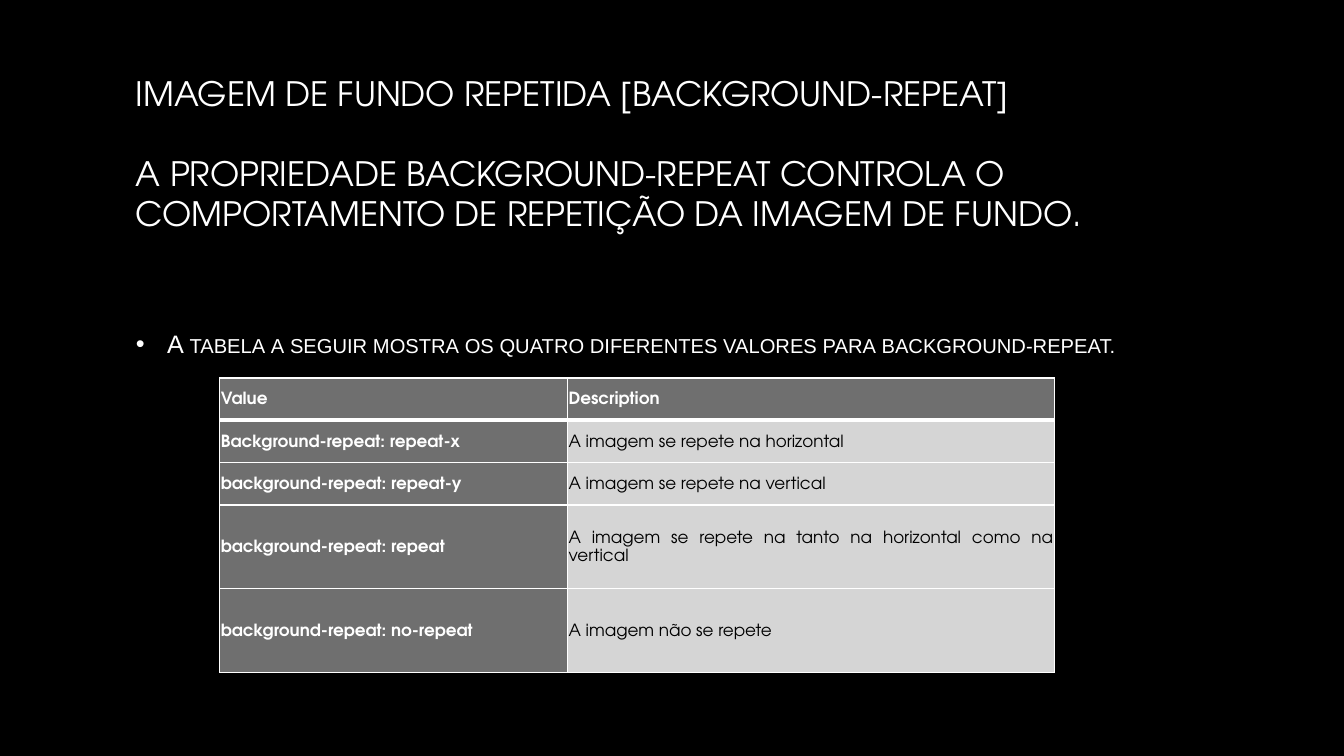
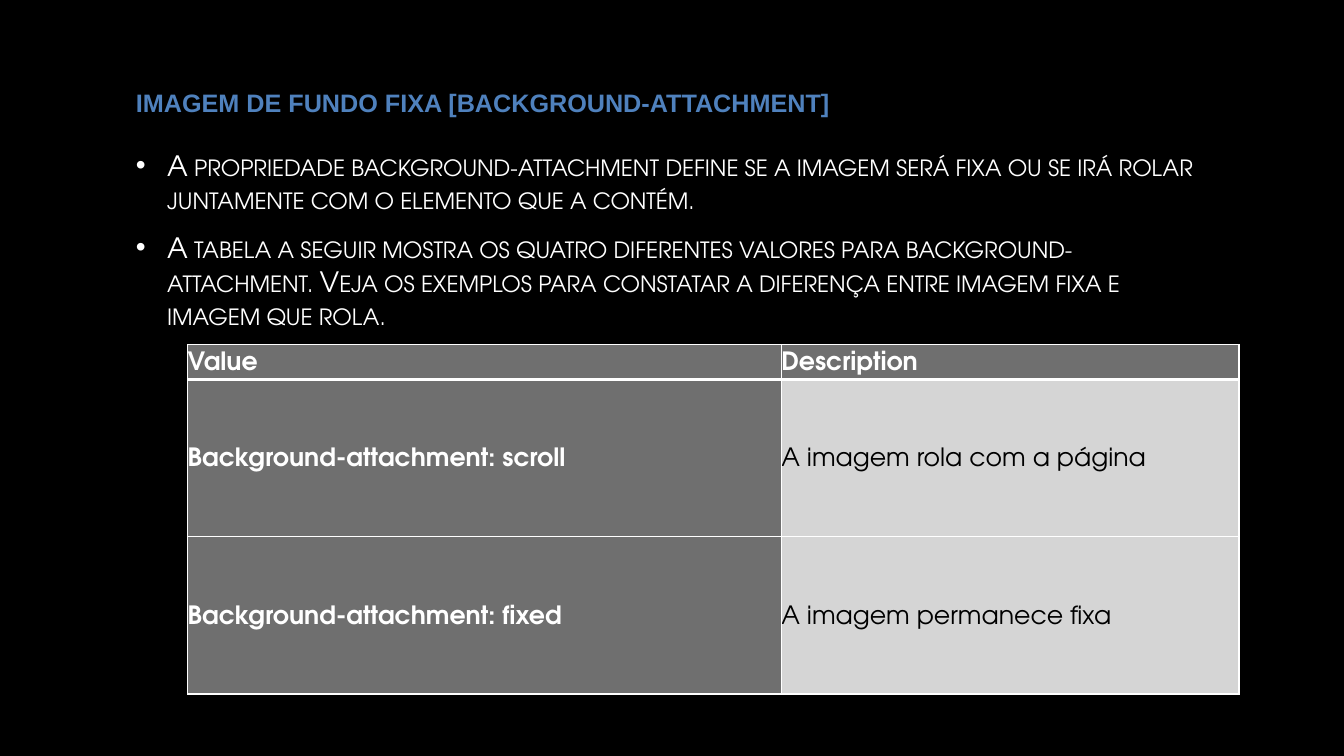
from lxml.etree import SubElement
from pptx import Presentation
from pptx.dml.color import RGBColor
from pptx.enum.text import MSO_ANCHOR as Anchor, PP_ALIGN as Align
from pptx.oxml.ns import qn
from pptx.util import Inches, Pt

COLORS = {
    "background": "000000",
    "text": "FFFFFF",
    "accent": "4F81BD",
    "label": "6F6F6F",
    "value": "D5D5D5",
    "value_text": "000000",
    "border": "FFFFFF",
}
GEOMETRIC = "TeX Gyre Adventor"
SANS = "Arial"
TEXT_LEFT, TEXT_WIDTH = 1.25, 10.83
BULLET_INDENT = 0.31


def color(name):
    return RGBColor.from_string(COLORS[name])


def write_text(paragraph, text, size, font=GEOMETRIC, fill="text", bold=False,
               small_caps=False, bullet=False, align=Align.LEFT,
               before=0, after=0, line_spacing=None):
    if bullet:
        add_bullet(paragraph)
    paragraph.alignment = align
    paragraph.space_before, paragraph.space_after = Pt(before), Pt(after)
    if line_spacing:
        paragraph.line_spacing = line_spacing
    run = paragraph.add_run()
    run.text = text
    run.font.name, run.font.size, run.font.bold = font, Pt(size), bold
    run.font.color.rgb = color(fill)
    if small_caps:
        run._r.get_or_add_rPr().set("cap", "small")


def add_bullet(paragraph):
    properties = paragraph._p.get_or_add_pPr()
    properties.set("marL", str(Inches(BULLET_INDENT)))
    properties.set("indent", str(-Inches(BULLET_INDENT)))
    bullet_color = SubElement(properties, qn("a:buClr"))
    SubElement(bullet_color, qn("a:srgbClr"), val=COLORS["text"])
    SubElement(properties, qn("a:buFont"), typeface=SANS)
    SubElement(properties, qn("a:buChar"), char="•")


def add_text_box(slide, top, height, texts, gap=0, **text_format):
    """Place one paragraph per text, with gap points above all but the first."""
    box = slide.shapes.add_textbox(Inches(TEXT_LEFT), Inches(top),
                                   Inches(TEXT_WIDTH), Inches(height))
    frame = box.text_frame
    frame.word_wrap = True
    for index, text in enumerate(texts):
        paragraph = frame.add_paragraph() if index else frame.paragraphs[0]
        write_text(paragraph, text, before=gap if index else 0, **text_format)


def add_title(slide, top, height, texts, **text_format):
    add_text_box(slide, top, height, texts, **text_format)


def add_bullets(slide, top, height, texts, **text_format):
    add_text_box(slide, top, height, texts, gap=4.8, after=6,
                 bullet=True, small_caps=True, **text_format)


def set_borders(cell, is_header):
    widths = {"a:lnL": 1, "a:lnR": 1}
    if is_header:
        widths["a:lnT"] = 1
    widths["a:lnB"] = 3 if is_header else 1
    properties = cell._tc.get_or_add_tcPr()
    for tag, width in widths.items():
        line = SubElement(properties, qn(tag), w=str(Pt(width)))
        fill = SubElement(line, qn("a:solidFill"))
        SubElement(fill, qn("a:srgbClr"), val=COLORS["border"])


def fill_cell(cell, text, is_header, is_label, size, inset):
    set_borders(cell, is_header)
    cell.fill.solid()
    cell.fill.fore_color.rgb = color("label" if is_label else "value")
    cell.vertical_anchor = Anchor.MIDDLE
    cell.margin_left = cell.margin_right = Inches(inset)
    cell.margin_top = cell.margin_bottom = Inches(inset)
    write_text(cell.text_frame.paragraphs[0], text, size, bold=is_label,
               fill="text" if is_label else "value_text",
               align=Align.JUSTIFY, after=10, line_spacing=1.15)


def add_value_table(slide, left, top, widths, heights, values, size, inset=0):
    """Add a two-column table of property values under a header row."""
    rows = [("Value", "Description"), *values]
    table = slide.shapes.add_table(
        len(rows), len(widths), Inches(left), Inches(top),
        Inches(sum(widths)), Inches(sum(heights))).table
    table.horz_banding = False
    for column, width in zip(table.columns, widths):
        column.width = Inches(width)
    for row, height in zip(table.rows, heights):
        row.height = Inches(height)
    for row_index, texts in enumerate(rows):
        for column_index, text in enumerate(texts):
            is_header = row_index == 0
            fill_cell(table.cell(row_index, column_index), text, is_header,
                      is_header or column_index == 0, size, inset)


def build_repeat_slide(slide):
    add_title(slide, 0.67, 2.08, [
        "IMAGEM DE FUNDO REPETIDA [BACKGROUND-REPEAT]",
        "A PROPRIEDADE BACKGROUND-REPEAT CONTROLA O COMPORTAMENTO "
        "DE REPETIÇÃO DA IMAGEM DE FUNDO.",
    ], size=24, gap=28.6)
    add_bullets(slide, 3.21, 0.5, [
        "A tabela a seguir mostra os quatro diferentes valores "
        "para background-repeat.",
    ], size=18, font=SANS)
    add_value_table(slide, 2.18, 3.75, [3.45, 4.83], [0.42] * 3 + [0.83] * 2, [
        ("Background-repeat: repeat-x", "A imagem se repete na horizontal"),
        ("background-repeat: repeat-y", "A imagem se repete na vertical"),
        ("background-repeat: repeat",
         "A imagem se repete na tanto na horizontal como na vertical"),
        ("background-repeat: no-repeat", "A imagem não se repete"),
    ], size=12, inset=0.01)


def build_attachment_slide(slide):
    add_title(slide, 0.82, 0.5,
              ["IMAGEM DE FUNDO FIXA [BACKGROUND-ATTACHMENT]"],
              size=18, font=SANS, fill="accent", bold=True)
    add_bullets(slide, 1.42, 1.95, [
        "A propriedade background-attachment define se a imagem será fixa "
        "ou se irá rolar juntamente com o elemento que a contém.",
        "A tabela a seguir mostra os quatro diferentes valores para "
        "background-attachment. Veja os exemplos para constatar a diferença "
        "entre imagem fixa e imagem que rola.",
    ], size=20)
    add_value_table(slide, 1.86, 3.42, [5.89, 4.54], [0.3, 1.56, 1.56], [
        ("Background-attachment: scroll", "A imagem rola com a página"),
        ("Background-attachment: fixed", "A imagem permanece fixa"),
    ], size=18)


def main():
    presentation = Presentation()
    presentation.slide_width = Inches(13.33)
    presentation.slide_height = Inches(7.5)
    background = presentation.slide_master.background.fill
    background.solid()
    background.fore_color.rgb = color("background")
    blank_layout = presentation.slide_layouts[6]
    for build_slide in (build_repeat_slide, build_attachment_slide):
        build_slide(presentation.slides.add_slide(blank_layout))
    presentation.save("out.pptx")


if __name__ == "__main__":
    main()
